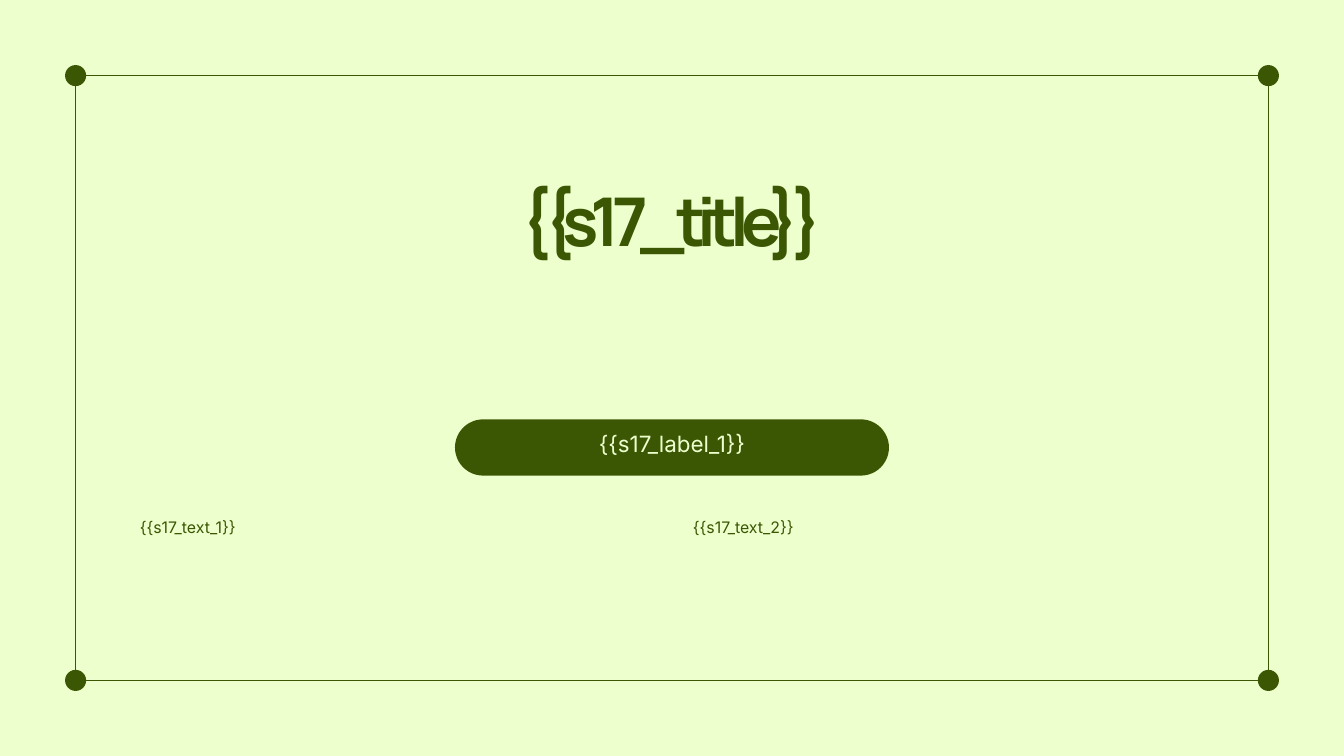
from pptx import Presentation
from pptx.dml.color import RGBColor
from pptx.enum import shapes as sh, text as tx
from pptx.oxml import ns
from pptx.util import Pt

HUES = {"pale": "EDFFCC", "moss": "3B5704"}
ALIGN = tx.PP_ALIGN


def hue(name):
    return RGBColor.from_string(HUES[name])


def place(shape, box):
    shape.left, shape.top, shape.width, shape.height = (Pt(n) for n in box)


def draw(slide, kind, box, fill, line=None):
    shape = slide.shapes.add_shape(kind, *(Pt(n) for n in box))
    shape.shadow.inherit = False
    shape.fill.solid()
    shape.fill.fore_color.rgb = hue(fill)
    if line:
        shape.line.color.rgb = hue(line)
        shape.line.width = Pt(0.75)
    else:
        shape.line.fill.background()
    return shape


def write(shape, words, font, size, lead, align, color="moss", inset=0,
          anchor=tx.MSO_ANCHOR.TOP):
    frame = shape.text_frame
    frame.text = words
    frame.word_wrap = True
    frame.auto_size = tx.MSO_AUTO_SIZE.NONE
    frame.vertical_anchor = anchor
    frame.margin_left = frame.margin_right = Pt(inset)
    frame.margin_top = frame.margin_bottom = Pt(inset)
    para = frame.paragraphs[0]
    para.alignment = align
    para.line_spacing = Pt(lead)
    para.space_before = Pt(0)
    run = para.runs[0]
    run.font.name = font
    run.font.size = Pt(size)
    run.font.color.rgb = hue(color)
    return para


def add_frame(slide, box, dot=22.6):
    """Thin outline with a dot on each corner."""
    left, top, width, height = box
    draw(slide, sh.MSO_SHAPE.RECTANGLE, box, "pale", "moss")
    for x in (left, left + width):
        for y in (top, top + height):
            draw(slide, sh.MSO_SHAPE.OVAL,
                 (x - dot / 2, y - dot / 2, dot, dot), "moss")


def add_title(slide, box, words):
    title = slide.shapes.title
    place(title, box)
    para = write(title, words, "Manrope", 72, 108, ALIGN.CENTER)
    run = para.runs[0]
    run.font.bold = True
    run._r.get_or_add_rPr().set("spc", "-850")


def add_label(slide, box, words, rise=13.8):
    """Pill with its label set a little above the middle."""
    left, top, width, height = box
    pill = draw(slide, sh.MSO_SHAPE.ROUNDED_RECTANGLE, box, "moss")
    pill.adjustments[0] = 0.5
    label = slide.shapes.add_textbox(
        Pt(left), Pt(top - rise), Pt(width), Pt(height + rise))
    write(label, words, "Inter", 24, 33.4, ALIGN.CENTER, "pale", 4,
          tx.MSO_ANCHOR.MIDDLE)


def add_texts(slide, box, texts, gap=37.5):
    """Equal columns of body text without bullets."""
    left, top, width, height = box
    wide = (width - gap * (len(texts) - 1)) / len(texts)
    for i, words in enumerate(texts):
        body = slide.placeholders[i + 1]
        place(body, (left + i * (wide + gap), top, wide, height))
        para = write(body, words, "Inter", 17, 23.6, ALIGN.JUSTIFY)
        props = para._p.get_or_add_pPr()
        props.set("marL", "0")
        props.set("indent", "0")
        props.append(props.makeelement(ns.qn("a:buNone"), {}))


def main():
    deck = Presentation()
    deck.slide_width, deck.slide_height = Pt(1440), Pt(810)
    slide = deck.slides.add_slide(deck.slide_layouts[3])
    slide.background.fill.solid()
    slide.background.fill.fore_color.rgb = hue("pale")

    add_frame(slide, (81, 81, 1278, 648))
    add_title(slide, (168, 170.6, 1104, 234.7), "{{s17_title}}")
    add_label(slide, (487.5, 449.3, 465, 60.3), "{{s17_label_1}}")
    add_texts(slide, (149.8, 551.5, 1147.7, 116),
              ("{{s17_text_1}}", "{{s17_text_2}}"))

    # Placeholders come first in the tree, so lift them above the frame
    tree = slide.shapes._spTree
    for holder in list(slide.placeholders):
        tree.append(holder._element)

    deck.save("out.pptx")


if __name__ == "__main__":
    main()
